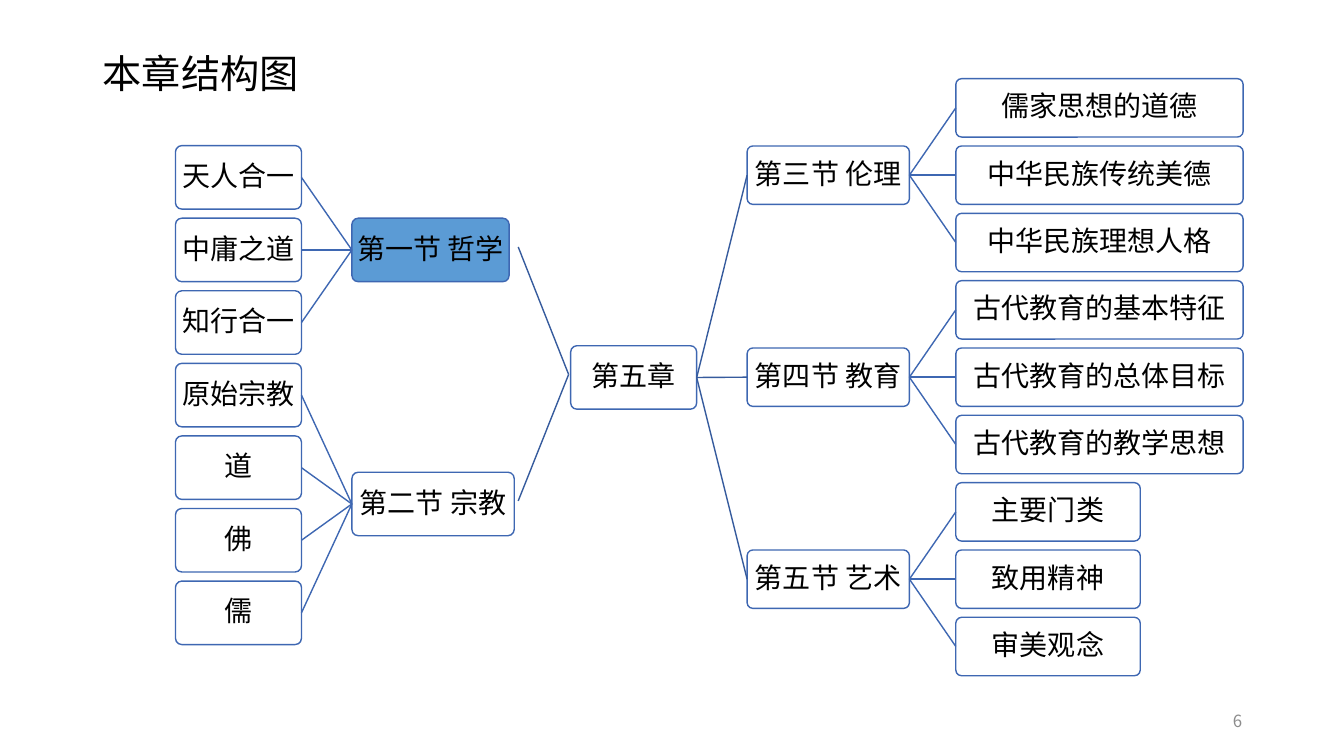
from dataclasses import dataclass

from pptx import Presentation
from pptx.dml.color import RGBColor
from pptx.enum.shapes import MSO_CONNECTOR, MSO_SHAPE
from pptx.enum.text import MSO_ANCHOR, MSO_AUTO_SIZE, PP_ALIGN
from pptx.oxml.ns import qn
from pptx.util import Inches, Pt

STRAIGHT = MSO_CONNECTOR.STRAIGHT
ROUNDED = MSO_SHAPE.ROUNDED_RECTANGLE
MIDDLE = MSO_ANCHOR.MIDDLE
LEFT, CENTER, RIGHT = PP_ALIGN.LEFT, PP_ALIGN.CENTER, PP_ALIGN.RIGHT
LEFT_SIDE, RIGHT_SIDE = 1, 3

# Content: (section, section width, topic width, topics)
TITLE = "本章结构图"
PAGE_NUMBER = "6"
CHAPTER = "第五章"
CURRENT_SECTION = "第一节 哲学"
LEFT_SECTIONS = [
    ("第一节 哲学", 1.56, 1.25, ["天人合一", "中庸之道", "知行合一"]),
    ("第二节 宗教", 1.61, 1.25, ["原始宗教", "道", "佛", "儒"]),
]
RIGHT_SECTIONS = [
    ("第三节 伦理", 1.61, 2.85, ["儒家思想的道德", "中华民族传统美德", "中华民族理想人格"]),
    ("第四节 教育", 1.61, 2.85, ["古代教育的基本特征", "古代教育的总体目标", "古代教育的教学思想"]),
    ("第五节 艺术", 1.61, 1.83, ["主要门类", "致用精神", "审美观念"]),
]


@dataclass(frozen=True)
class Theme:
    font: str = "Noto Sans CJK SC"
    text: str = "000000"
    muted: str = "8C8C8C"
    box: str = "FFFFFF"
    highlight: str = "5B9BD5"
    outline: str = "3E67B2"
    trunk: str = "365B9D"
    title_size: int = 28
    box_size: int = 20
    number_size: int = 12
    line_width: int = 1


@dataclass(frozen=True)
class Side:
    section_left: float
    topic_left: float
    first_row: float      # centre of the first topic
    row_step: float
    box_height: float
    parent_site: int
    child_site: int


THEME = Theme()
LEFT_HALF = Side(3.49, 1.74, 1.76, 0.72, 0.63, LEFT_SIDE, RIGHT_SIDE)
RIGHT_HALF = Side(7.41, 9.48, 1.07, 0.668, 0.58, RIGHT_SIDE, LEFT_SIDE)
CHAPTER_LEFT, CHAPTER_MIDDLE, CHAPTER_WIDTH, CHAPTER_HEIGHT = 5.66, 3.745, 1.25, 0.63
# The left trunk stands clear of its boxes and slightly above their centres
TRUNK_START, TRUNK_END, TRUNK_RISE = 5.64, 5.14, 0.03


def color(value):
    return RGBColor.from_string(value)


def write(shape, text, size, text_color, alignment):
    frame = shape.text_frame
    frame.text = text
    frame.word_wrap = True
    frame.auto_size = MSO_AUTO_SIZE.NONE
    frame.vertical_anchor = MIDDLE
    paragraph = frame.paragraphs[0]
    paragraph.alignment = alignment
    font = paragraph.runs[0].font
    font.name, font.size = THEME.font, Pt(size)
    font.color.rgb = color(text_color)
    east_asian = font._element.makeelement(qn("a:ea"), {"typeface": THEME.font})
    font._element.find(qn("a:latin")).addnext(east_asian)
    return paragraph


def add_box(slide, text, left, middle, width, height):
    shape = slide.shapes.add_shape(
        ROUNDED, Inches(left), Inches(middle - height / 2), Inches(width), Inches(height))
    shape.adjustments[0] = 0.1
    shape.shadow.inherit = False
    shape.fill.solid()
    shape.fill.fore_color.rgb = color(THEME.highlight if text == CURRENT_SECTION else THEME.box)
    shape.line.color.rgb = color(THEME.outline)
    shape.line.width = Pt(THEME.line_width)
    frame = shape.text_frame
    frame.margin_left = frame.margin_right = Inches(0.03)
    frame.margin_top = frame.margin_bottom = Inches(0.03)
    write(shape, text, THEME.box_size, THEME.text, CENTER).line_spacing = 0.9
    return shape


def add_line(slide, line_color, start=(0, 0), end=(0, 0)):
    line = slide.shapes.add_connector(STRAIGHT, *map(Inches, start + end))
    line.line.color.rgb = color(line_color)
    line.line.width = Pt(THEME.line_width)
    properties = line._element.spPr
    properties.append(properties.makeelement(qn("a:effectLst"), {}))
    return line


def join(slide, parent, child, side, line_color):
    line = add_line(slide, line_color)
    line.begin_connect(parent, side.parent_site)
    line.end_connect(child, side.child_site)


def add_half(slide, chapter, sections, side):
    row = 0
    for name, section_width, topic_width, topics in sections:
        # Each section is centred on its topics
        middle = side.first_row + (row + (len(topics) - 1) / 2) * side.row_step
        section = add_box(slide, name, side.section_left, middle, section_width, side.box_height)
        if side is LEFT_HALF:
            add_line(slide, THEME.trunk, (TRUNK_START, CHAPTER_MIDDLE - TRUNK_RISE),
                     (TRUNK_END, middle - TRUNK_RISE))
        else:
            join(slide, chapter, section, side, THEME.trunk)
        for topic in topics:
            box = add_box(slide, topic, side.topic_left, side.first_row + row * side.row_step,
                          topic_width, side.box_height)
            join(slide, section, box, side, THEME.outline)
            row += 1


def main():
    presentation = Presentation()
    presentation.slide_width, presentation.slide_height = Inches(13.33), Inches(7.5)
    slide = presentation.slides.add_slide(presentation.slide_layouts[5])

    # Title and page number
    title = slide.shapes.title
    title.left, title.top, title.width, title.height = map(Inches, (0.92, 0.4, 11.5, 0.71))
    write(title, TITLE, THEME.title_size, THEME.text, LEFT).line_spacing = 0.9
    number = slide.shapes.add_textbox(*map(Inches, (9.42, 6.95, 3, 0.4)))
    write(number, PAGE_NUMBER, THEME.number_size, THEME.muted, RIGHT)

    # Chapter tree
    chapter = add_box(slide, CHAPTER, CHAPTER_LEFT, CHAPTER_MIDDLE, CHAPTER_WIDTH, CHAPTER_HEIGHT)
    add_half(slide, chapter, LEFT_SECTIONS, LEFT_HALF)
    add_half(slide, chapter, RIGHT_SECTIONS, RIGHT_HALF)

    presentation.save("out.pptx")


if __name__ == "__main__":
    main()
